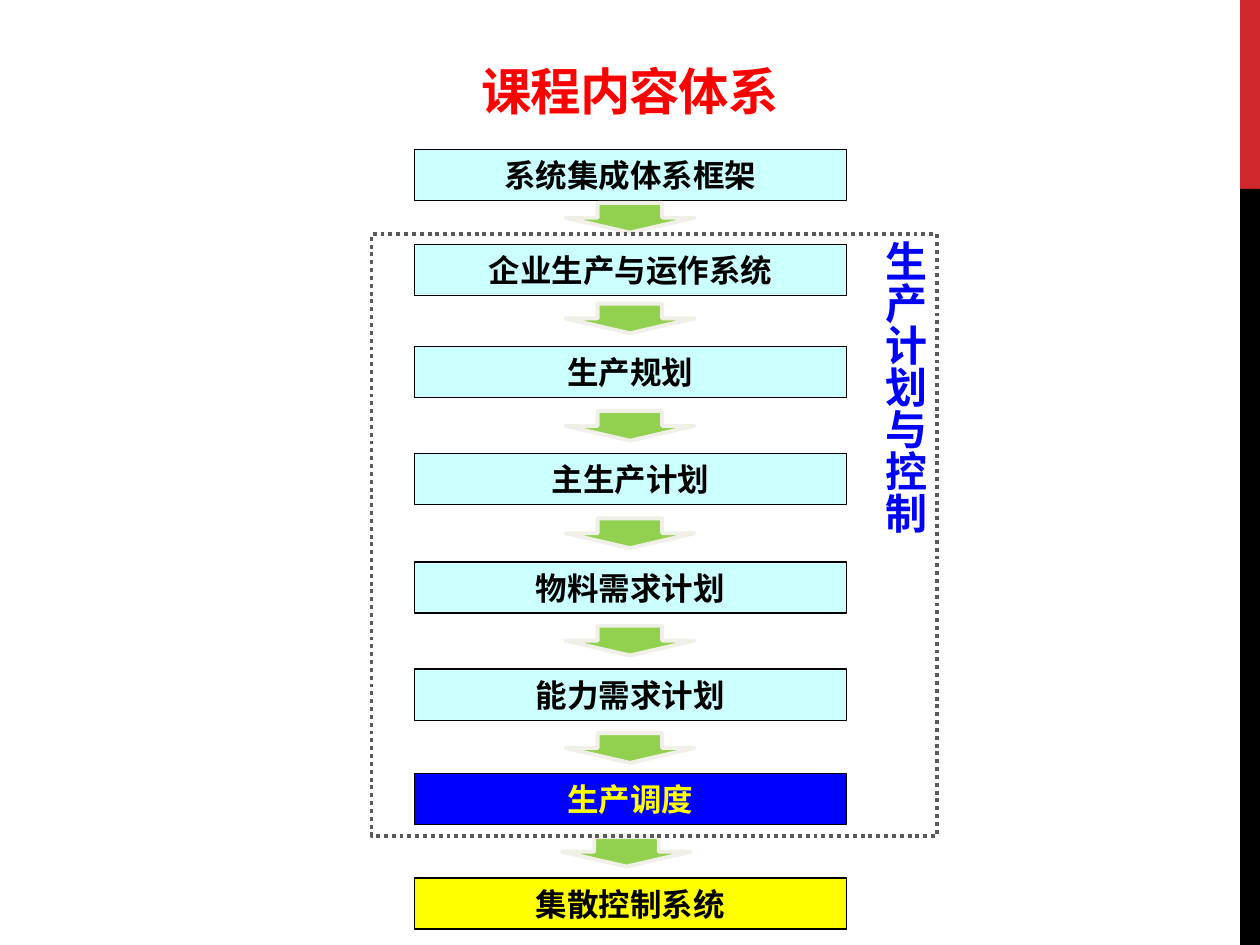
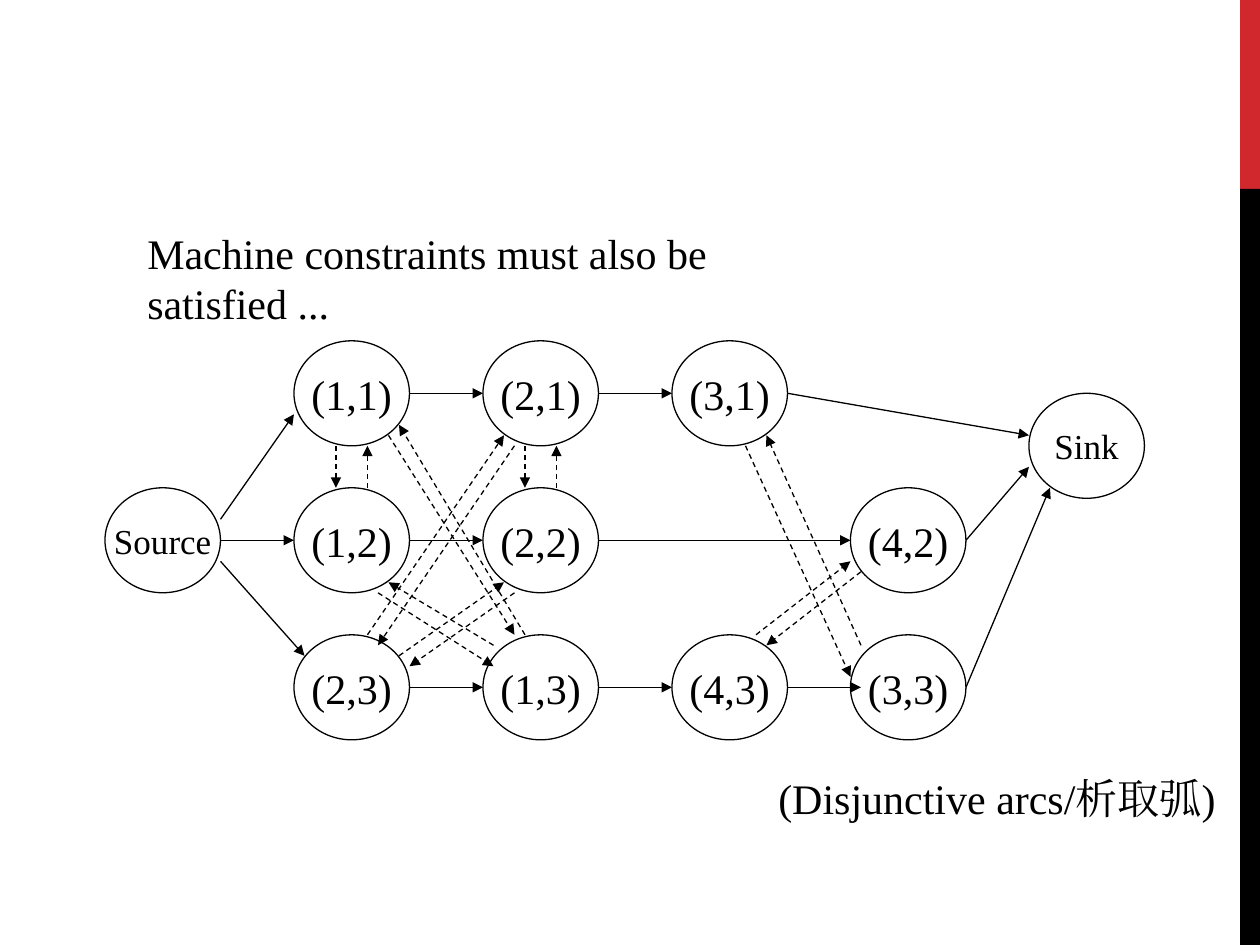
"""Build a course outline slide and a disjunctive job-shop graph slide."""
from dataclasses import dataclass
from typing import NamedTuple

from lxml.etree import SubElement
from pptx import Presentation
from pptx.dml.color import RGBColor
from pptx.enum.dml import MSO_LINE
from pptx.enum.shapes import MSO_CONNECTOR, MSO_SHAPE
from pptx.enum.text import MSO_ANCHOR, MSO_AUTO_SIZE, PP_ALIGN
from pptx.oxml.ns import qn
from pptx.presentation import Presentation as Deck
from pptx.shapes.autoshape import Shape
from pptx.slide import Slide
from pptx.text.text import TextFrame
from pptx.util import Cm, Pt


@dataclass(frozen=True)
class Theme:
    """Colours, fonts and type sizes of the deck."""

    black: str = "000000"
    band_red: str = "D1282E"
    title_red: str = "FF0000"
    pale_cyan: str = "CCFFFF"
    blue: str = "0000FF"
    yellow: str = "FFFF00"
    green: str = "92D050"
    arrow_edge: str = "F0F0E9"
    frame_grey: str = "5A5A5A"
    heading: str = "Montserrat"
    body: str = "Calibri"
    sans: str = "Arial"
    serif: str = "Times New Roman"
    cjk: str = "Noto Sans CJK SC"
    title_size: float = 28.8
    large: float = 24
    medium: float = 20
    small: float = 18
    thin: float = 0.75
    thick: float = 2.25


THEME = Theme()


class Box(NamedTuple):
    """Left, top, width and height in centimetres."""

    left: float
    top: float
    width: float
    height: float

    def lengths(self) -> tuple[Cm, Cm, Cm, Cm]:
        """Return the four measures as lengths."""
        return Cm(self.left), Cm(self.top), Cm(self.width), Cm(self.height)


class Stage(NamedTuple):
    """One step of the course outline."""

    label: str
    top: float
    fill: str = THEME.pale_cyan
    ink: str = THEME.black
    font: str = THEME.body


class Node(NamedTuple):
    """One operation of the graph, placed in grid units."""

    label: str
    column: int
    row: int
    size: float = THEME.large


class Arc(NamedTuple):
    """A directed arc in grid units."""

    x1: int
    y1: int
    x2: int
    y2: int


STAGES = [
    Stage("系统集成体系框架", 3.02, font=THEME.cjk),
    Stage("企业生产与运作系统", 4.93),
    Stage("生产规划", 6.99),
    Stage("主生产计划", 9.14),
    Stage("物料需求计划", 11.33),
    Stage("能力需求计划", 13.49),
    Stage("生产调度", 15.6, THEME.blue, THEME.yellow),
    Stage("集散控制系统", 17.7, THEME.yellow),
]
STEP_ARROWS = [(11.4, 4.09), *((11.4, 6.12 + 2.165 * i) for i in range(5)), (11.33, 16.87)]

GRID = 2.54 / 12
GRID_TOP = 6.87
NODE_WIDTH, NODE_HEIGHT = 11, 10
SOURCE = Node("Source", 10, 14, THEME.medium)
SINK = Node("Sink", 98, 5, THEME.medium)
JOBS = [
    [Node("(1,1)", 28, 0), Node("(2,1)", 46, 0), Node("(3,1)", 64, 0)],
    [SOURCE, Node("(1,2)", 28, 14), Node("(2,2)", 46, 14), Node("(4,2)", 81, 14)],
    [Node("(2,3)", 28, 28), Node("(1,3)", 46, 28), Node("(4,3)", 64, 28)],
]
LAST_OPERATION = Node("(3,3)", 81, 28)
TERMINAL_ARCS = [
    Arc(75, 33, 82, 33), Arc(21, 17, 28, 7), Arc(21, 21, 29, 30),
    Arc(75, 5, 98, 9), Arc(92, 19, 98, 12), Arc(92, 33, 100, 14),
]
MACHINE_ARCS = [
    Arc(32, 10, 32, 14), Arc(35, 14, 35, 10), Arc(50, 10, 50, 14), Arc(53, 14, 53, 10),
    Arc(36, 24, 47, 31), Arc(47, 29, 37, 23), Arc(38, 30, 48, 23), Arc(49, 24, 39, 31),
    Arc(72, 28, 81, 21), Arc(82, 22, 73, 29), Arc(82, 29, 73, 9), Arc(71, 10, 81, 32),
    Arc(50, 28, 38, 8), Arc(37, 9, 49, 28), Arc(35, 28, 48, 9), Arc(49, 10, 36, 29),
]


def write(frame: TextFrame, text: str, *, size: float, font: str, color: str = THEME.black,
          cjk: str = THEME.cjk, bold: bool = False, align: PP_ALIGN = PP_ALIGN.CENTER,
          anchor: MSO_ANCHOR = MSO_ANCHOR.MIDDLE, wrap: bool = True, inset: float = 0,
          tracking: int = 0) -> None:
    """Put formatted text into a frame."""
    frame.word_wrap = wrap
    frame.auto_size = MSO_AUTO_SIZE.NONE
    frame.vertical_anchor = anchor
    frame.margin_left = frame.margin_right = Cm(inset)
    frame.margin_top = frame.margin_bottom = Cm(inset)
    paragraph = frame.paragraphs[0]
    paragraph.alignment = align
    run = paragraph.add_run()
    run.text = text
    run.font.size = Pt(size)
    run.font.bold = bold
    run.font.color.rgb = RGBColor.from_string(color)
    run.font.name = font
    properties = run.font._element
    SubElement(properties, qn("a:ea")).set("typeface", cjk)
    if tracking:
        properties.set("spc", str(tracking))


def draw(slide: Slide, kind: MSO_SHAPE, box: Box, fill: str | None = None,
         line: str | None = None, weight: float = THEME.thin) -> Shape:
    """Add a flat preset shape."""
    shape = slide.shapes.add_shape(kind, *box.lengths())
    shape.shadow.inherit = False
    if fill:
        shape.fill.solid()
        shape.fill.fore_color.rgb = RGBColor.from_string(fill)
    else:
        shape.fill.background()
    if line:
        shape.line.color.rgb = RGBColor.from_string(line)
        shape.line.width = Pt(weight)
    else:
        shape.line.fill.background()
    return shape


def draw_node(slide: Slide, node: Node) -> None:
    """Draw one operation as a labelled ellipse."""
    box = Box(node.column * GRID, GRID_TOP + node.row * GRID,
              NODE_WIDTH * GRID, NODE_HEIGHT * GRID)
    ellipse = draw(slide, MSO_SHAPE.OVAL, box, line=THEME.black)
    write(ellipse.text_frame, node.label, size=node.size, font=THEME.serif, wrap=False)


def draw_arc(slide: Slide, arc: Arc, dashed: bool = False) -> None:
    """Draw one arc with an arrowhead at its end."""
    connector = slide.shapes.add_connector(
        MSO_CONNECTOR.STRAIGHT,
        Cm(arc.x1 * GRID), Cm(GRID_TOP + arc.y1 * GRID),
        Cm(arc.x2 * GRID), Cm(GRID_TOP + arc.y2 * GRID))
    connector.line.color.rgb = RGBColor.from_string(THEME.black)
    connector.line.width = Pt(THEME.thin)
    if dashed:
        connector.line.dash_style = MSO_LINE.DASH
    properties = connector.element.spPr
    SubElement(properties.find(qn("a:ln")), qn("a:tailEnd")).set("type", "triangle")
    SubElement(properties, qn("a:effectLst"))


def add_bands(deck: Deck, slide: Slide) -> None:
    """Place the right-hand bands on the master shared by all slides."""
    bands = [(0, 3.81, THEME.band_red), (3.81, 15.24, THEME.black)]
    for number, (top, height, color) in enumerate(bands, start=101):
        band = draw(slide, MSO_SHAPE.RECTANGLE, Box(25, top, 0.4, height), color)
        band.element.nvSpPr.cNvPr.set("id", str(number))
        deck.slide_master.shapes.element.append(band.element)


def build_outline(slide: Slide) -> None:
    """Fill the course outline slide."""
    title = slide.shapes.title
    title.left, title.top, title.width, title.height = Box(1.27, 1.27, 22.86, 1.17).lengths()
    write(title.text_frame, "课程内容体系", size=THEME.title_size, font=THEME.heading,
          color=THEME.title_red, bold=True, anchor=MSO_ANCHOR.BOTTOM, tracking=-60)
    for stage in STAGES:
        step = draw(slide, MSO_SHAPE.RECTANGLE, Box(8.36, stage.top, 8.7, 1.03),
                    stage.fill, THEME.black)
        write(step.text_frame, stage.label, size=THEME.small, font=stage.font,
              color=stage.ink, bold=True)
    for left, top in STEP_ARROWS:
        draw(slide, MSO_SHAPE.DOWN_ARROW, Box(left, top, 2.6, 0.6),
             THEME.green, THEME.arrow_edge, THEME.thick)
    scope = draw(slide, MSO_SHAPE.RECTANGLE, Box(7.49, 4.72, 11.4, 12.13),
                 line=THEME.frame_grey, weight=THEME.thick)
    scope.line.dash_style = MSO_LINE.ROUND_DOT
    write(scope.text_frame, "生产计划与控制", size=THEME.large, font=THEME.sans,
          color=THEME.blue, bold=True, align=PP_ALIGN.LEFT, anchor=MSO_ANCHOR.TOP, inset=0.13)
    scope.text_frame._txBody.bodyPr.set("vert", "eaVert")


def build_graph(slide: Slide) -> None:
    """Fill the disjunctive graph slide."""
    remarks = [
        ("Machine constraints must also be satisfied ...", Box(2.72, 4.45, 15.5, 1.27)),
        ("(Disjunctive arcs/析取弧)", Box(15.44, 15.44, 9.4, 1.27)),
    ]
    for remark, box in remarks:
        frame = slide.shapes.add_textbox(*box.lengths()).text_frame
        write(frame, remark, size=THEME.large, font=THEME.serif, cjk=THEME.serif,
              align=PP_ALIGN.LEFT, anchor=MSO_ANCHOR.TOP, inset=0.25)
        frame.margin_top = frame.margin_bottom = Cm(0.13)
        frame.auto_size = MSO_AUTO_SIZE.SHAPE_TO_FIT_TEXT
    for node in [*(node for job in JOBS for node in job), LAST_OPERATION, SINK]:
        draw_node(slide, node)
    for job in JOBS:
        for first, following in zip(job, job[1:]):
            middle = first.row + NODE_HEIGHT // 2
            draw_arc(slide, Arc(first.column + NODE_WIDTH, middle, following.column, middle))
    for arc in TERMINAL_ARCS:
        draw_arc(slide, arc)
    for arc in MACHINE_ARCS:
        draw_arc(slide, arc, dashed=True)


def main() -> None:
    """Build and save the deck."""
    deck = Presentation()
    deck.slide_width, deck.slide_height = Cm(25.4), Cm(19.05)
    title_only, blank = deck.slide_layouts[5], deck.slide_layouts[6]
    outline = deck.slides.add_slide(title_only)
    add_bands(deck, outline)
    build_outline(outline)
    build_graph(deck.slides.add_slide(blank))
    deck.save("out.pptx")


if __name__ == "__main__":
    main()
